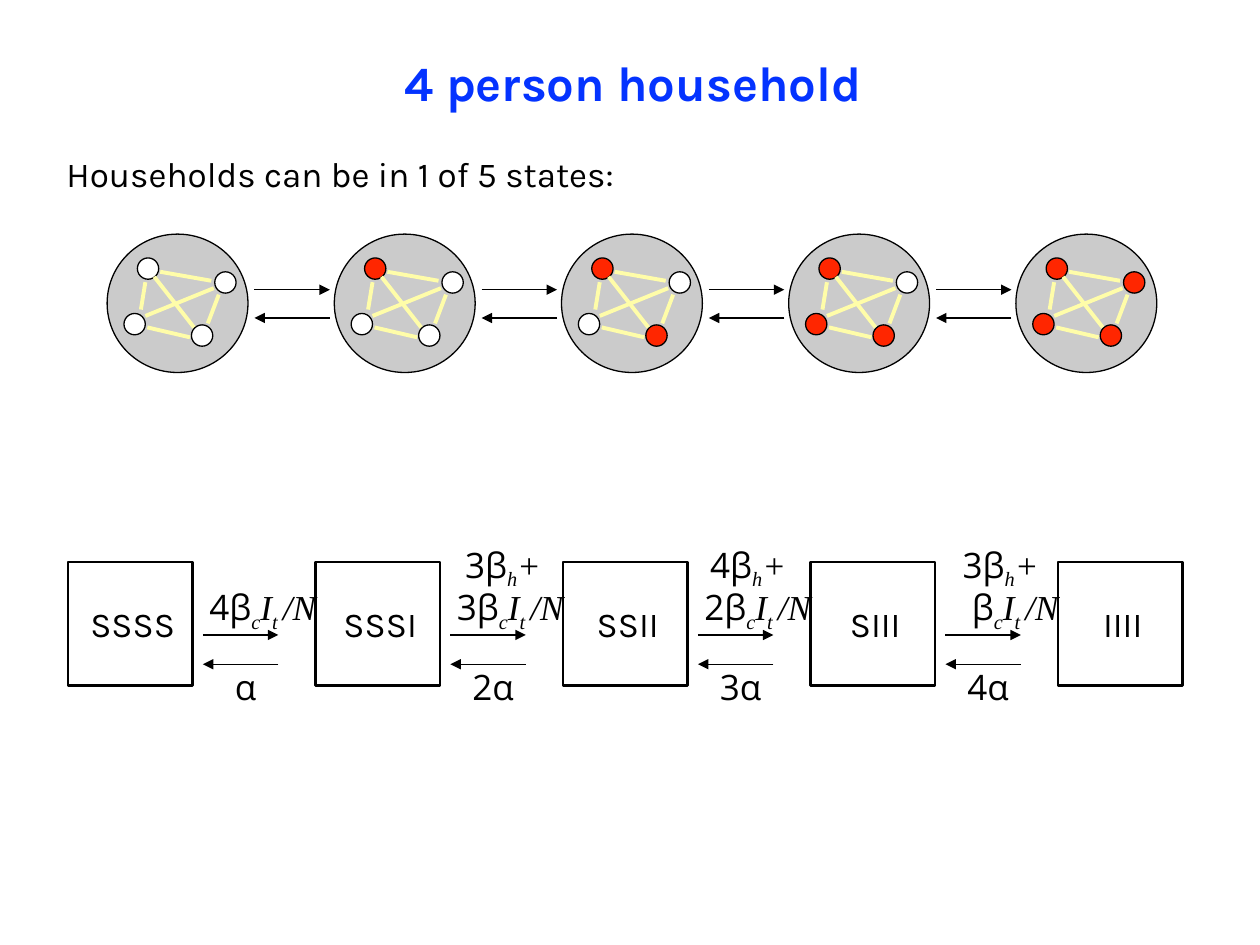
from lxml import etree
from pptx import Presentation
from pptx import util as u
from pptx.dml.color import RGBColor
from pptx.enum import shapes, text
from pptx.oxml.ns import qn

Cm = u.Cm
COLORS = {"title": "0433FF", "ink": "000000", "household": "CBCBCB",
          "S": "FFFFFF", "I": "FF2600", "contact": "FFFDA9"}
LEFT, CENTER, RIGHT = text.PP_ALIGN.LEFT, text.PP_ALIGN.CENTER, text.PP_ALIGN.RIGHT


def write(sp, content, font="Karla", size=20, color="ink", bold=False, italic=False,
          align=CENTER, anchor=text.MSO_ANCHOR.TOP, subscript=False):
    """Append a run to the first paragraph of a shape and format its frame."""
    tf = sp.text_frame
    tf.word_wrap = True
    tf.auto_size = text.MSO_AUTO_SIZE.NONE
    tf.vertical_anchor = anchor
    tf.margin_left = Cm(0.25)
    tf.margin_top = tf.margin_right = tf.margin_bottom = Cm(0.15)
    p = tf.paragraphs[0]
    p.alignment = align
    r = p.add_run()
    r.text = content
    r.font.name, r.font.size = font, u.Pt(size)
    r.font.bold, r.font.italic = bold, italic
    r.font.color.rgb = RGBColor.from_string(COLORS[color])
    if subscript:
        r.font._element.set("baseline", "-25000")


def add_line(parent, x1, y1, x2, y2, color="ink", width=0.75, arrow=True):
    line = parent.add_connector(shapes.MSO_CONNECTOR.STRAIGHT,
                                Cm(x1), Cm(y1), Cm(x2), Cm(y2))
    line.line.color.rgb = RGBColor.from_string(COLORS[color])
    line.line.width = u.Pt(width)
    if arrow:
        etree.SubElement(line.line._get_or_add_ln(), qn("a:tailEnd"), type="triangle")
    etree.SubElement(line._element.spPr, qn("a:effectLst"))


prs = Presentation()
prs.slide_width, prs.slide_height = Cm(25.4), Cm(19.05)
s = prs.slides.add_slide(prs.slide_layouts[5])

title = s.shapes.title
title.left, title.top, title.width, title.height = Cm(0), Cm(0.91), Cm(25.42), Cm(1.47)
write(title, "4 person household", size=28, color="title", bold=True)

intro = s.shapes.add_textbox(Cm(1.09), Cm(2.92), Cm(13.26), Cm(1.12))
write(intro, "Households can be in 1 of 5 states:", align=LEFT)

# Households: members and contacts are placed relative to the circle
members = [(0.61, 0.48), (0.34, 1.6), (1.7, 1.83), (2.17, 0.76)]
contacts = [(0.95, 0.86, 1.75, 1.88), (0.77, 1.65, 2.15, 1.09),
            (0.81, 1.88, 1.67, 2.08), (0.77, 0.97, 0.68, 1.52),
            (2.25, 1.22, 2.03, 1.8), (2.1, 0.94, 1.07, 0.76)]
households = ["SSSS", "ISSS", "ISIS", "IIIS", "IIII"]
house_top, house_pitch = 4.72, 4.58

for i, household in enumerate(households):
    x = 2.16 + i * house_pitch
    group = s.shapes.add_group_shape().shapes
    ovals = [(x, house_top, 2.84, 2.79, "household")]
    ovals += [(x + dx, house_top + dy, 0.43, 0.43, status)
              for (dx, dy), status in zip(members, household)]
    for left, top, width, height, color in ovals:
        sp = group.add_shape(shapes.MSO_SHAPE.OVAL, Cm(left), Cm(top), Cm(width), Cm(height))
        sp.shadow.inherit = False
        sp.fill.solid()
        sp.fill.fore_color.rgb = RGBColor.from_string(COLORS[color])
        sp.line.color.rgb = RGBColor.from_string(COLORS["ink"])
        sp.line.width = u.Pt(0.75)
    for x1, y1, x2, y2 in contacts:
        add_line(group, x + x1, house_top + y1, x + x2, house_top + y2,
                 color="contact", width=2.25, arrow=False)
    if i < len(households) - 1:
        add_line(s.shapes, x + 2.97, 5.84, x + 4.49, 5.84)
        add_line(s.shapes, x + 4.49, 6.41, x + 2.97, 6.41)

# State boxes
states = ["SSSS", "SSSI", "SSII", "SIII", "IIII"]
state_left, state_pitch = 1.37, 4.99

for i, state in enumerate(states):
    sp = s.shapes.add_shape(shapes.MSO_SHAPE.RECTANGLE, Cm(state_left + i * state_pitch),
                            Cm(11.33), Cm(2.51), Cm(2.49))
    sp.shadow.inherit = False
    sp.fill.background()
    sp.line.color.rgb = RGBColor.from_string(COLORS["ink"])
    sp.line.width = u.Pt(1.5)
    write(sp, state, anchor=text.MSO_ANCHOR.MIDDLE)

# Transitions: household term with its offset, community term, recovery rate
transitions = [("", 0, "4β", "α"), ("3β", 2.13, "3β", "2α"),
               ("4β", 2.08, "2β", "3α"), ("3β", 2.18, "β", "4α")]
household_tail = [("h", True), ("+", False)]
community_tail = [("c", True), ("I", False), ("t ", True), ("/N", False)]

for i, (within, offset, community, recovery) in enumerate(transitions):
    x = state_left + i * state_pitch
    add_line(s.shapes, x + 2.72, 12.8, x + 4.24, 12.8)
    add_line(s.shapes, x + 4.24, 13.39, x + 2.72, 13.39)
    labels = [(within, x + offset, 10.8, CENTER, household_tail),
              (community, x + 1.95, 11.66, RIGHT, community_tail),
              (recovery, x + 1.93, 13.26, CENTER, [])]
    for coefficient, left, top, align, tail in labels:
        if not coefficient:
            continue
        label = s.shapes.add_textbox(Cm(left), Cm(top), Cm(3.2), Cm(1.2))
        write(label, coefficient, font="Open Sans", align=align)
        for symbol, subscript in tail:
            write(label, symbol, font="Times New Roman", italic=True,
                  align=align, subscript=subscript)

prs.save("out.pptx")
